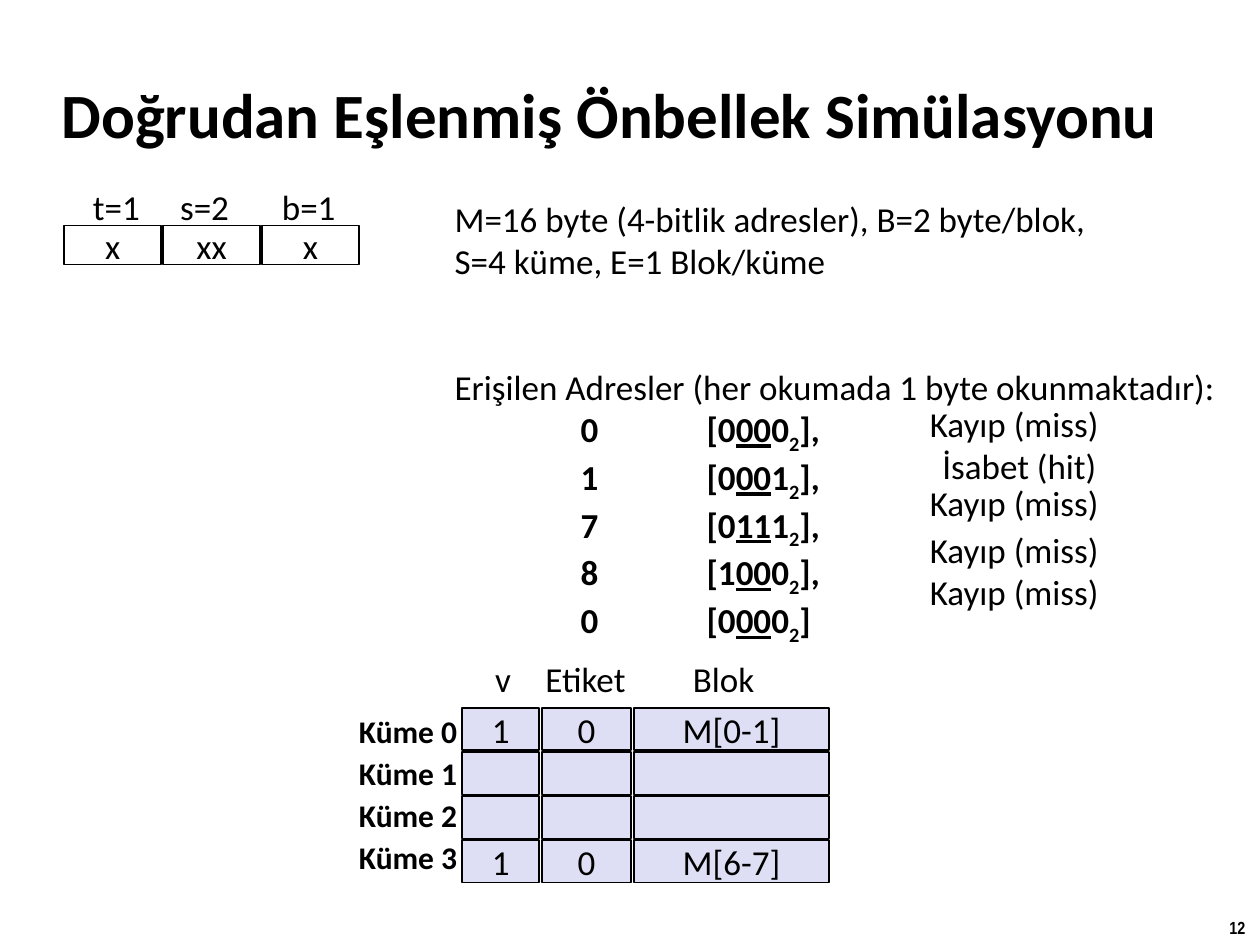
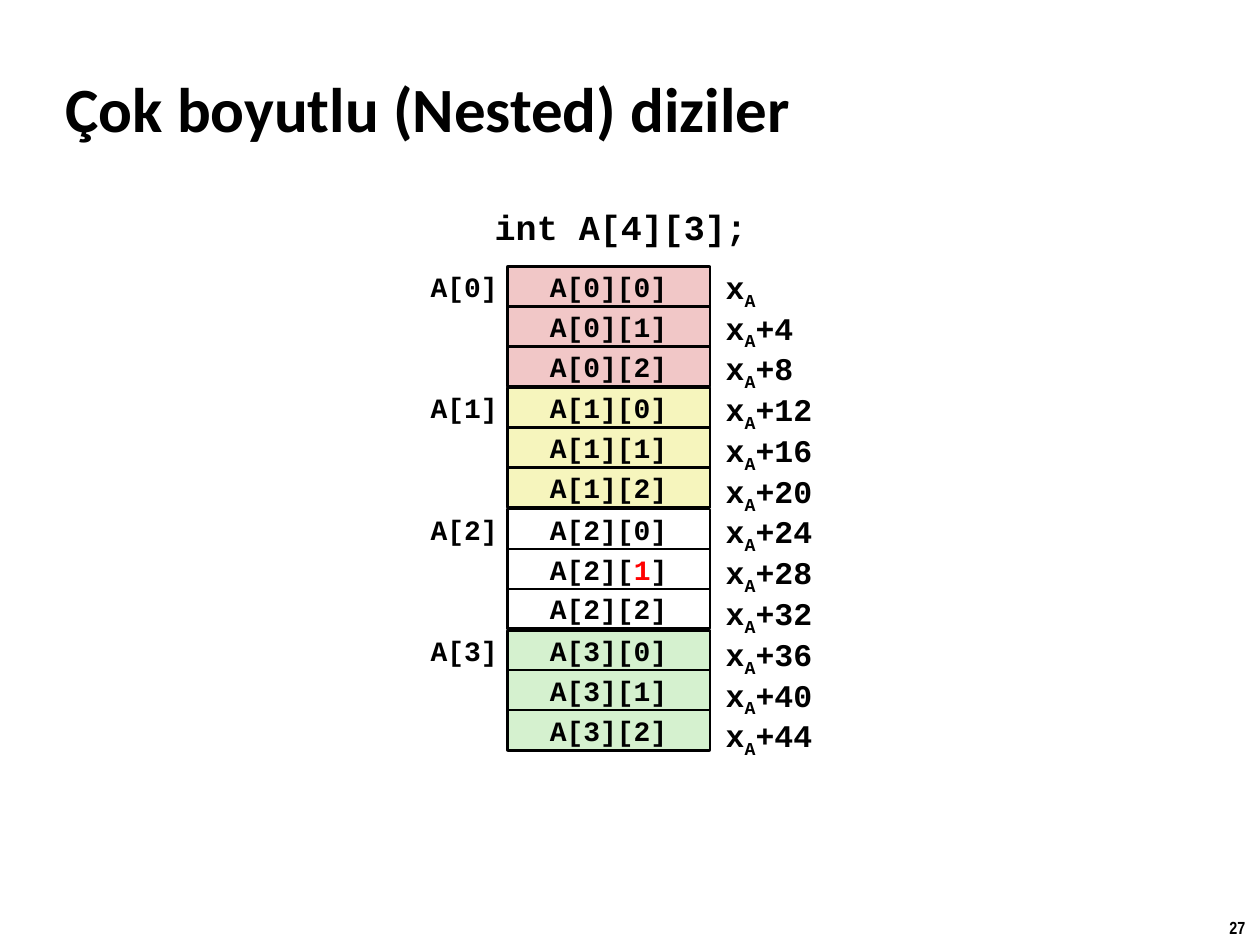
from lxml.etree import SubElement
from pptx import Presentation
from pptx.dml.color import RGBColor
from pptx.enum.shapes import MSO_SHAPE
from pptx.enum.text import MSO_ANCHOR, MSO_AUTO_SIZE, PP_ALIGN
from pptx.oxml.ns import qn
from pptx.util import Pt

BLACK, WHITE, RED, LILAC = "000000", "FFFFFF", "FF0000", "DEDFF5"
BODY, CODE, NUMBER = "Calibri", "Courier New", "Arial Narrow"
LEFT, CENTER, RIGHT = PP_ALIGN.LEFT, PP_ALIGN.CENTER, PP_ALIGN.RIGHT

CACHE_TITLE = "Doğrudan Eşlenmiş Önbellek Simülasyonu"
ADDRESS_FIELDS = [("t=1", 46, "x"), ("s=2", 95.8, "xx"), ("b=1", 154, "x")]
CACHE_FACTS = ["M=16 byte (4-bitlik adresler), B=2 byte/blok,", "S=4 küme, E=1 Blok/küme"]
READS_HEADING = "Erişilen Adresler (her okumada 1 byte okunmaktadır):"
READS = [
    ("0", "0", "00", "0", "],"),
    ("1", "0", "00", "1", "],"),
    ("7", "0", "11", "1", "],"),
    ("8", "1", "00", "0", "],"),
    ("0", "0", "00", "0", "]"),
]
OUTCOMES = [
    ("Kayıp (miss)", 524.2, 234),
    ("İsabet (hit)", 531.4, 257.8),
    ("Kayıp (miss)", 524.2, 279.4),
    ("Kayıp (miss)", 524.2, 306),
    ("Kayıp (miss)", 524.2, 329.8),
]
CACHE_COLUMNS = [("v", 275.8, 44), ("Etiket", 304.6, 51.2), ("Blok", 388.8, 111.6)]
CACHE_SETS = [
    ("Küme 0", ["1", "0", "M[0-1]"]),
    ("Küme 1", ["", "", ""]),
    ("Küme 2", ["", "", ""]),
    ("Küme 3", ["1", "0", "M[6-7]"]),
]

ARRAY_TITLE = "Çok boyutlu (Nested) diziler"
DECLARATION = "int A[4][3];"
ROW_STYLES = [("F1C7C7", 2.25), ("F6F5BD", 2.25), (WHITE, 2), ("D5F1CF", 2.25)]
COLUMN_COUNT, INT_SIZE = 3, 4
HIGHLIGHT = (2, 1)


def color(code):
    return RGBColor.from_string(code)


def style_span(span, font, size, bold, mark=""):
    span.font.name = font
    span.font.size = Pt(size)
    span.font.bold = bold
    span.font.color.rgb = color(RED if mark == "red" else BLACK)
    if mark == "underline":
        span.font.underline = True
    if mark == "subscript":
        span._r.get_or_add_rPr().set("baseline", "-25000")


def fill_para(para, spans, font, size, bold, align=LEFT):
    para.alignment = align
    for text, mark in spans:
        span = para.add_run()
        span.text = text
        style_span(span, font, size, bold, mark)


def plain(text):
    return [(text, "")]


def add_text(page, left, top, width, height, spans, font=BODY, size=20, bold=False,
             align=LEFT, anchor=MSO_ANCHOR.TOP):
    box = page.shapes.add_textbox(Pt(left), Pt(top), Pt(width), Pt(height))
    frame = box.text_frame
    frame.word_wrap = False
    frame.vertical_anchor = anchor
    fill_para(frame.paragraphs[0], spans, font, size, bold, align)
    return box


def add_cell(page, left, top, width, height, fill, line_width=1, spans=(),
             font=BODY, size=20, bold=False):
    cell = page.shapes.add_shape(MSO_SHAPE.RECTANGLE, Pt(left), Pt(top), Pt(width), Pt(height))
    cell.shadow.inherit = False
    cell.fill.solid()
    cell.fill.fore_color.rgb = color(fill)
    cell.line.color.rgb = color(BLACK)
    cell.line.width = Pt(line_width)
    frame = cell.text_frame
    frame.word_wrap = False
    frame.vertical_anchor = MSO_ANCHOR.MIDDLE
    fill_para(frame.paragraphs[0], spans, font, size, bold, CENTER)


def add_page(deck, title_text, number, left, top, width, height):
    page = deck.slides.add_slide(deck.slide_layouts[5])
    title = page.shapes.title
    title.left, title.top, title.width, title.height = map(Pt, (left, top, width, height))
    frame = title.text_frame
    frame.text = title_text
    frame.auto_size = MSO_AUTO_SIZE.NONE
    frame.vertical_anchor = MSO_ANCHOR.MIDDLE
    para = frame.paragraphs[0]
    para.alignment = LEFT
    style_span(para.runs[0], BODY, 36, True)
    add_text(page, 695.5, 520.6, 24.5, 19.4, plain(number), NUMBER, 10, True)
    return page


def add_tabs(para, *positions):
    tabs = SubElement(para._p.get_or_add_pPr(), qn("a:tabLst"))
    for position in positions:
        SubElement(tabs, qn("a:tab"), pos=str(Pt(position)), algn="l")


def add_reads(page):
    box = add_text(page, 252.7, 109.4, 485.3, 249, plain(CACHE_FACTS[0]))
    frame = box.text_frame
    frame.word_wrap = True
    fill_para(frame.add_paragraph(), plain(CACHE_FACTS[1]), BODY, 20, False)
    heading = frame.add_paragraph()
    heading.space_before = Pt(48)
    fill_para(heading, plain(READS_HEADING), BODY, 20, False)
    for address, tag, set_bits, offset, ending in READS:
        para = frame.add_paragraph()
        add_tabs(para, 72, 144)
        spans = [(f"\t{address}\t[{tag}", ""), (set_bits, "underline"), (offset, ""),
                 ("2", "subscript"), (ending, "")]
        fill_para(para, spans, BODY, 20, True)


def build_cache(deck):
    page = add_page(deck, CACHE_TITLE, "12", 28, 34.6, 656, 59.8)
    add_reads(page)
    for index, (label, label_left, bits) in enumerate(ADDRESS_FIELDS):
        add_cell(page, 36.7 + 56.5 * index, 128.9, 55.4, 22.3, WHITE, spans=plain(bits))
        add_text(page, label_left, 102.2, 54, 31, plain(label))
    for text, left, top in OUTCOMES:
        box = add_text(page, left, top, 111.6, 24, plain(text))
        box.text_frame.paragraphs[0].line_spacing = 0.65

    column_left, gap = 264.2, 1.4
    for column, (heading, heading_left, width) in enumerate(CACHE_COLUMNS):
        add_text(page, heading_left, 372, width + 10, 31, plain(heading))
        for row, (_, values) in enumerate(CACHE_SETS):
            add_cell(page, column_left, 404.6 + 25.2 * row, width, 24.2, LILAC,
                     spans=plain(values[column]) if values[column] else ())
        column_left += width + gap
    for row, (label, _) in enumerate(CACHE_SETS):
        add_text(page, 198, 403.2 + 24 * row, 71.3, 28.8, plain(label), size=18, bold=True)


def build_array(deck):
    page = add_page(deck, ARRAY_TITLE, "27", 30.2, 38.9, 635.8, 45.4)
    add_text(page, 274.3, 113.8, 159.8, 31.7, plain(DECLARATION), CODE, 20, True, RIGHT)
    left, width, cell_height = 290.2, 115.2, 22.4
    for row, (fill, line_width) in enumerate(ROW_STYLES):
        row_top = 152.5 + 69.3 * row
        add_cell(page, left, row_top, width, 68, fill, line_width)
        add_text(page, 236.5, row_top, 57.6, cell_height, plain(f"A[{row}]"), CODE, 16, True,
                 CENTER, MSO_ANCHOR.MIDDLE)
        for column in range(COLUMN_COUNT):
            mark = "red" if (row, column) == HIGHLIGHT else ""
            spans = [(f"A[{row}][", ""), (str(column), mark), ("]", "")]
            if not mark:
                spans = plain(f"A[{row}][{column}]")
            add_cell(page, left, row_top + 22.8 * column, width, cell_height, fill,
                     spans=spans, font=CODE, size=16, bold=True)
            index = row * COLUMN_COUNT + column
            address = [("x", ""), ("A", "subscript")]
            if index:
                address.append((f"+{index * INT_SIZE}", ""))
            box = add_text(page, 407.6, 149.5 + 23.3 * index, 90.7, 28.8, address, CODE, 18, True)
            box.text_frame.word_wrap = True


def main():
    deck = Presentation()
    deck.slide_width, deck.slide_height = Pt(720), Pt(540)
    build_cache(deck)
    build_array(deck)
    deck.save("out.pptx")


if __name__ == "__main__":
    main()
